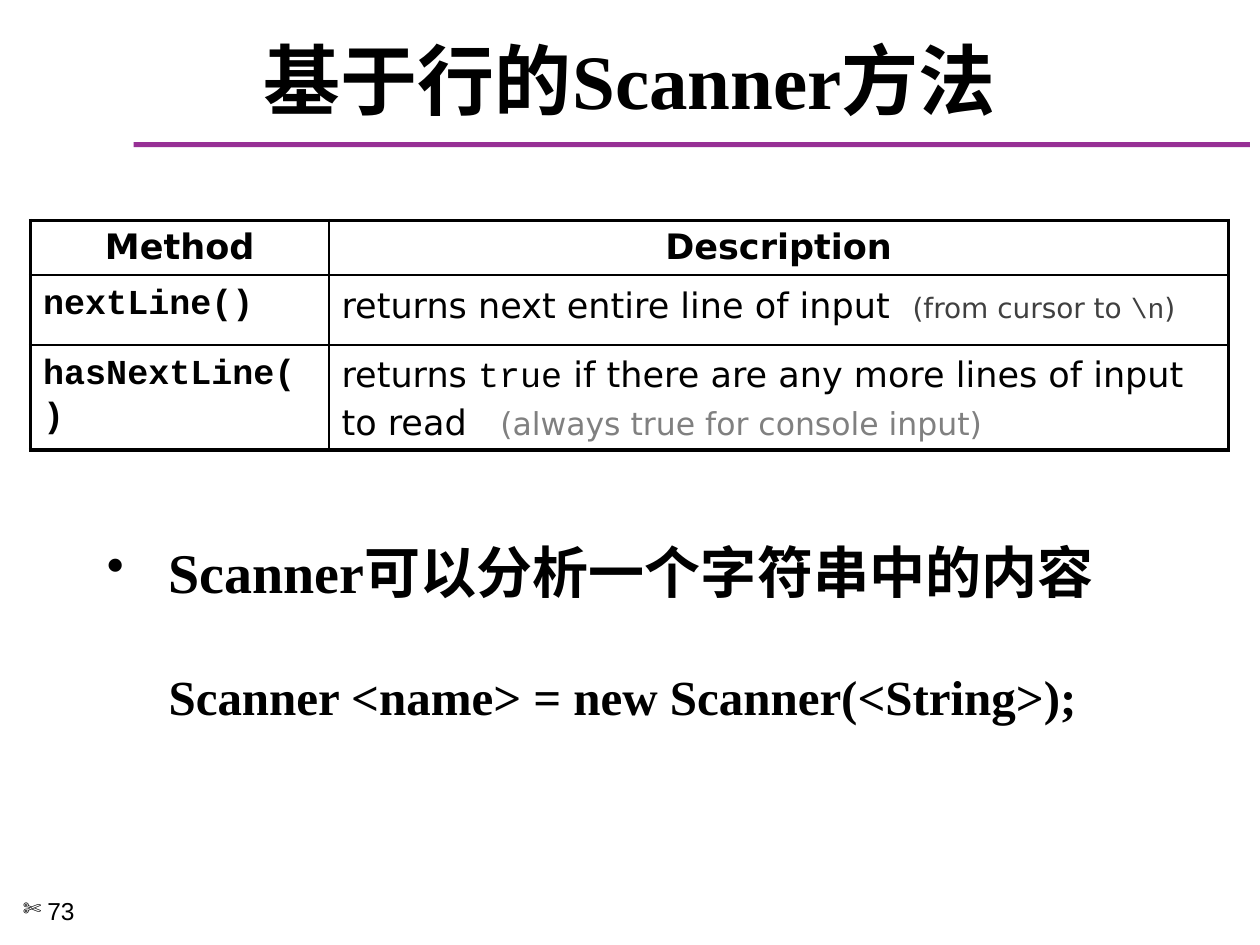
from pptx import Presentation
from pptx.dml.color import RGBColor
from pptx.enum.shapes import MSO_SHAPE
from pptx.enum.text import MSO_ANCHOR, PP_ALIGN
from pptx.oxml.ns import qn
from pptx.util import Pt
from lxml.etree import SubElement

CHINESE, SERIF, SANS, CODE = "Noto Sans CJK SC", "Times New Roman", "DejaVu Sans", "Courier New"


def color(value):
    return RGBColor.from_string(value)


def add_run(paragraph, text, size, name, bold=False, value="000000"):
    run = paragraph.add_run()
    run.text = text
    run.font.size = Pt(size)
    run.font.bold = bold
    run.font.color.rgb = color(value)
    run.font.name = name
    SubElement(run.font._element, qn("a:ea"), typeface=CHINESE)


presentation = Presentation()
presentation.slide_width, presentation.slide_height = Pt(720), Pt(540)
slide = presentation.slides.add_slide(presentation.slide_layouts[6])

rule = slide.shapes.add_shape(MSO_SHAPE.RECTANGLE, Pt(76.3), Pt(81.3), Pt(638), Pt(2.9))
rule.shadow.inherit = False
rule.fill.solid()
rule.fill.fore_color.rgb = color("973095")
rule.line.fill.background()

frames = []
for left, top, width, height in [(12, 18, 696, 54), (6, 508.5, 78, 31.5), (54, 300, 612, 198)]:
    frame = slide.shapes.add_textbox(Pt(left), Pt(top), Pt(width), Pt(height)).text_frame
    frame.word_wrap = True
    frames.append(frame)
title, number, body = frames

title.vertical_anchor = MSO_ANCHOR.MIDDLE
heading = title.paragraphs[0]
heading.alignment = PP_ALIGN.CENTER
for text, name in [("基于行的", CHINESE), ("Scanner", SERIF), ("方法", CHINESE)]:
    add_run(heading, text, 44, name, True)

page = number.paragraphs[0]
add_run(page, "73", 14, "Arial")

topic = body.paragraphs[0]
topic.line_spacing = Pt(42)
add_run(topic, "Scanner可以分析一个字符串中的内容", 32, SERIF, True)

syntax = body.add_paragraph()
syntax.line_spacing = Pt(32)
syntax.space_before = Pt(37)
add_run(syntax, "Scanner <name> = new Scanner(<String>);", 28, SERIF, True)

for paragraph, margin, indent, bullet in [(page, 14, -14, "✄"), (topic, 35.3, -35.3, "•"), (syntax, 35.3, 0, None)]:
    properties = paragraph._p.get_or_add_pPr()
    properties.set("marL", str(Pt(margin)))
    properties.set("indent", str(Pt(indent)))
    if bullet:
        SubElement(properties, qn("a:buSzPct"), val="90000")
        SubElement(properties, qn("a:buChar"), char=bullet)

rows = [
    [[("Method", 20, SANS, True)], [("Description", 20, SANS, True)]],
    [
        [("nextLine()", 20, CODE, True)],
        [
            ("returns next entire line of input  ", 20, SANS),
            ("(from cursor to ", 16, SANS, False, "404040"),
            ("\\n", 16, CODE, False, "404040"),
            (")", 16, SANS, False, "404040"),
        ],
    ],
    [
        [("hasNextLine()", 20, CODE, True)],
        [
            ("returns ", 20, SANS),
            ("true", 20, CODE),
            (" if there are any more lines of input to read   ", 20, SANS),
            ("(always true for console input)", 18, SANS, False, "808080"),
        ],
    ],
]
table = slide.shapes.add_table(3, 2, Pt(17.5), Pt(126), Pt(684.5), Pt(130.5)).table
table.first_row = table.horz_banding = False
for column, width in zip(table.columns, [170.5, 514]):
    column.width = Pt(width)
for row, height in zip(table.rows, [31, 39.8, 59.7]):
    row.height = Pt(height)

for row_index, row in enumerate(rows):
    for column_index, runs in enumerate(row):
        cell = table.cell(row_index, column_index)
        paragraph = cell.text_frame.paragraphs[0]
        paragraph.space_before = Pt(4)
        if row_index == 0:
            paragraph.alignment = PP_ALIGN.CENTER
        else:
            paragraph.line_spacing = 1.1
        for run in runs:
            add_run(paragraph, *run)
        properties = cell._tc.get_or_add_tcPr()
        outer_sides = {"L": column_index == 0, "R": column_index == 1, "T": row_index == 0, "B": row_index == 2}
        for side, outer in outer_sides.items():
            border = SubElement(properties, qn(f"a:ln{side}"), w=str(Pt(2.25 if outer else 1)))
            fill = SubElement(border, qn("a:solidFill"))
            SubElement(fill, qn("a:srgbClr"), val="000000")
        cell.fill.background()

presentation.save("out.pptx")
